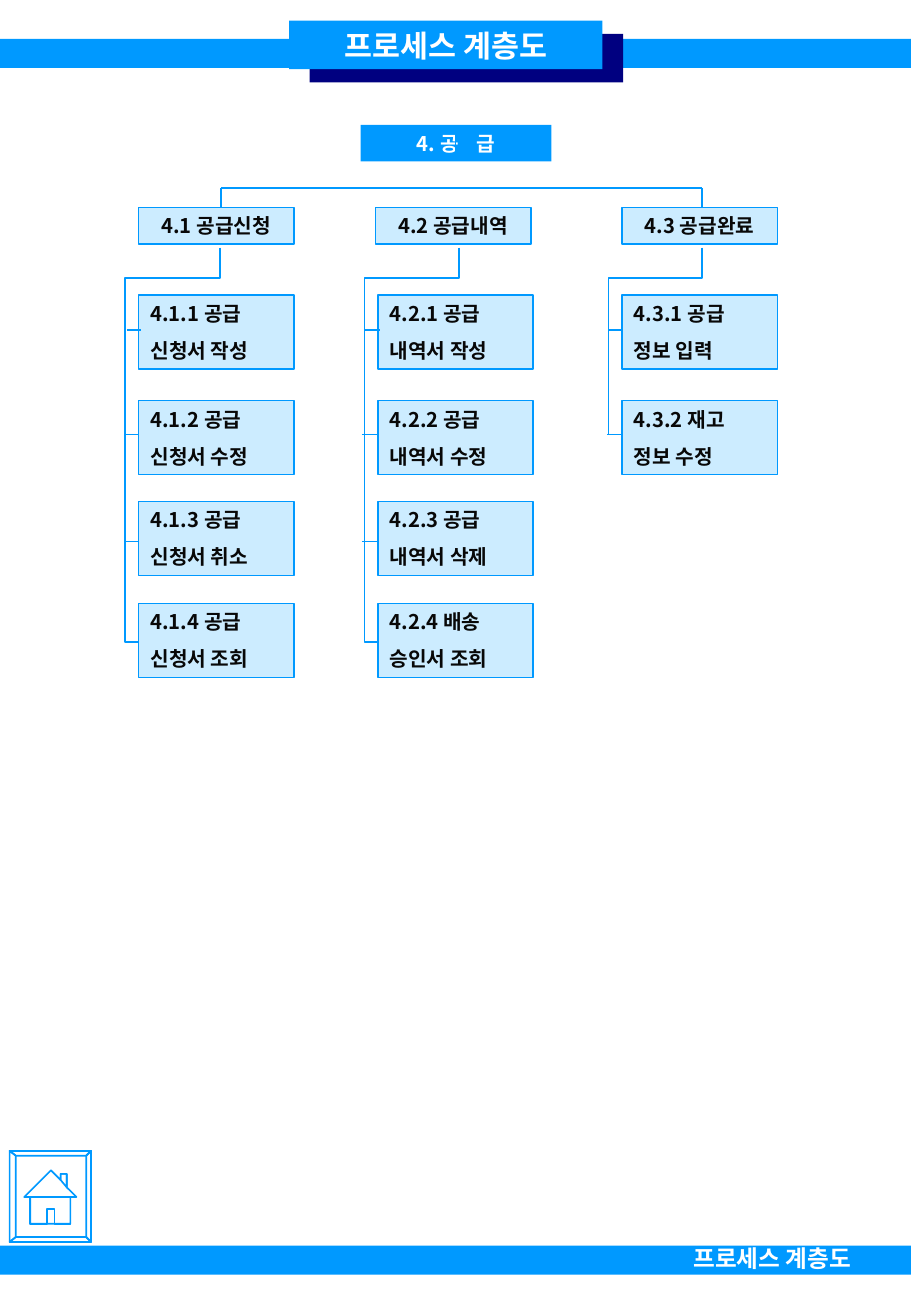
from lxml.etree import SubElement
from pptx import Presentation
from pptx.dml.color import RGBColor
from pptx.enum.shapes import MSO_CONNECTOR, MSO_SHAPE
from pptx.enum.text import MSO_ANCHOR, PP_ALIGN
from pptx.oxml.ns import qn
from pptx.util import Inches, Pt

BLUE = RGBColor(0x00, 0x99, 0xFF)
NAVY = RGBColor(0x00, 0x00, 0x80)
PALE = RGBColor(0xCC, 0xEC, 0xFF)
INK = RGBColor(0x08, 0x08, 0x08)
WHITE = RGBColor(0xFF, 0xFF, 0xFF)
FONT = "Noto Sans CJK KR"
COLUMNS, ROWS = 75, 108.4
ITEM_ROWS = (24.3, 33, 41.3, 49.7)
TICK_ROWS = (27.2, 35.8, 44.6)
TITLE = "프로세스 계층도"

BRANCHES = [
    {"header": "4.1 공급신청", "header_left": 11.4, "item_left": 11.4,
     "trunk": 18.1, "spine": 10.3, "tick_lefts": (10.3,),
     "items": [("4.1.1 공급", "신청서 작성"), ("4.1.2 공급", "신청서 수정"),
               ("4.1.3 공급", "신청서 취소"), ("4.1.4 공급", "신청서 조회")]},
    {"header": "4.2 공급내역", "header_left": 30.9, "item_left": 31.1,
     "trunk": 37.8, "spine": 30, "tick_lefts": (29.8, 30),
     "items": [("4.2.1 공급", "내역서 작성"), ("4.2.2 공급", "내역서 수정"),
               ("4.2.3 공급", "내역서 삭제"), ("4.2.4 배송", "승인서 조회")]},
    {"header": "4.3 공급완료", "header_left": 51.2, "item_left": 51.2,
     "trunk": 57.8, "spine": 50.1, "tick_lefts": (50,),
     "items": [("4.3.1 공급", "정보 입력"), ("4.3.2 재고", "정보 수정")]},
]

FRAME = [(0.8, 94.8), (7.5, 94.8), (7.5, 102.3), (0.8, 102.3)]
INSET = [(1.3, 95.2), (7.1, 95.2), (7.1, 101.9), (1.3, 101.9)]
HOUSE = [
    [(4.2, 96.4), (5, 97.2), (5, 96.7), (5.5, 96.7), (5.5, 97.8), (6.3, 98.6),
     (5.8, 98.6), (5.8, 100.8), (2.5, 100.8), (2.5, 98.6), (2, 98.6)],
    [(5, 97.2), (5, 96.7), (5.5, 96.7), (5.5, 97.8)],
    [(3.9, 99.6), (4.5, 99.6), (4.5, 100.8), (5.8, 100.8),
     (5.8, 98.6), (2.5, 98.6), (2.5, 100.8), (3.9, 100.8)],
]


class HierarchyPage:
    """Draws the process hierarchy on a grid of tenth-inch cells."""

    def __init__(self, deck):
        self.page = deck.slides.add_slide(deck.slide_layouts[6])
        self.cell_width = deck.slide_width / COLUMNS
        self.cell_height = deck.slide_height / ROWS

    def place(self, column, row):
        return round(column * self.cell_width), round(row * self.cell_height)

    def outline(self, shape):
        shape.line.color.rgb = BLUE
        shape.line.width = Pt(1)

    def fill_text(self, shape, lines, size, color, align, anchor=MSO_ANCHOR.MIDDLE):
        frame = shape.text_frame
        for name, value in {"word_wrap": True, "vertical_anchor": anchor}.items():
            setattr(frame, name, value)
        for number, spans in enumerate(lines):
            para = frame.add_paragraph() if number else frame.paragraphs[0]
            para.alignment = align
            if number:
                para.space_before = Pt(7.5)
            for text, spacing in spans:
                span = para.add_run()
                span.text = text
                for name, value in {"size": Pt(size), "bold": True, "name": FONT}.items():
                    setattr(span.font, name, value)
                span.font.color.rgb = color
                properties = span._r.get_or_add_rPr()
                SubElement(properties, qn("a:ea")).set("typeface", FONT)
                if spacing:
                    properties.set("spc", str(spacing * 100))

    def box(self, column, row, width, height, fill, outlined=False):
        shape = self.page.shapes.add_shape(
            MSO_SHAPE.RECTANGLE, *self.place(column, row), *self.place(width, height))
        shape.shadow.inherit = False
        shape.fill.solid()
        shape.fill.fore_color.rgb = fill
        if outlined:
            self.outline(shape)
        else:
            shape.line.fill.background()
        return shape

    def label(self, column, row, width, height, lines, size, color, align):
        shape = self.page.shapes.add_textbox(
            *self.place(column, row), *self.place(width, height))
        self.fill_text(shape, lines, size, color, align, MSO_ANCHOR.TOP)

    def line(self, start, end):
        connector = self.page.shapes.add_connector(
            MSO_CONNECTOR.STRAIGHT, *self.place(*start), *self.place(*end))
        self.outline(connector)
        SubElement(connector._element.spPr, qn("a:effectLst"))

    def drawing(self, contours, close):
        builder = self.page.shapes.build_freeform(*self.place(*contours[0][0]))
        for number, contour in enumerate(contours):
            points = [self.place(*point) for point in contour]
            if number:
                builder.move_to(*points[0])
            builder.add_line_segments(points[1:], close=close)
        shape = builder.convert_to_shape()
        shape.shadow.inherit = False
        shape.fill.background()
        self.outline(shape)

    def branch(self, header, header_left, item_left, trunk, spine, tick_lefts, items):
        head = self.box(header_left, 17.1, 12.8, 3, PALE, outlined=True)
        self.fill_text(head, [[(header, 0)]], 12, INK, PP_ALIGN.CENTER)
        for row, lines in zip(ITEM_ROWS, items):
            item = self.box(item_left, row, 12.8, 6.1, PALE, outlined=True)
            self.fill_text(item, [[(text, 0)] for text in lines], 12, INK, PP_ALIGN.LEFT)
        route = [(trunk, 20.4), (trunk, 22.9), (spine, 22.9)]
        if len(items) > len(TICK_ROWS):
            route += [(spine, 52.9), (spine + 1.1, 52.9)]
        else:
            route.append((spine, TICK_ROWS[len(items) - 1]))
        self.drawing([route], close=False)
        for left in tick_lefts:
            for number, row in enumerate(TICK_ROWS[:len(items)]):
                start = left if number else left + 0.15
                self.line((start, row), (start + 1.15, row))


def main():
    deck = Presentation()
    deck.slide_width, deck.slide_height = Inches(7.5), Inches(10.84)
    page = HierarchyPage(deck)

    for row in (3.2, 102.6):
        page.box(0, row, COLUMNS, 2.4, BLUE)
    page.box(25.5, 2.8, 25.8, 4, NAVY)
    title = page.box(23.8, 1.7, 25.8, 4, BLUE)
    page.fill_text(title, [[(TITLE, 0)]], 18, WHITE, PP_ALIGN.CENTER)
    page.label(56.1, 102, 17.3, 3.4, [[(TITLE, 0)]], 14, WHITE, PP_ALIGN.LEFT)

    root = page.box(29.7, 10.3, 15.7, 3, BLUE)
    root_spans = [("4. 공", 0), (" ", 8), ("급", 0)]
    page.fill_text(root, [root_spans], 12, WHITE, PP_ALIGN.CENTER)
    page.line((37.5, 10.6), (37.5, 13.1))
    page.line((18.2, 15.5), (57.8, 15.5))
    for column in (18.2, 57.8):
        page.line((column, 17.1), (column, 15.5))
    for branch in BRANCHES:
        page.branch(**branch)

    bevels = [[FRAME[side], FRAME[(side + 1) % 4], INSET[(side + 1) % 4], INSET[side]]
              for side in range(4)]
    page.drawing([FRAME, *bevels, *HOUSE], close=True)
    deck.save("out.pptx")


if __name__ == "__main__":
    main()
